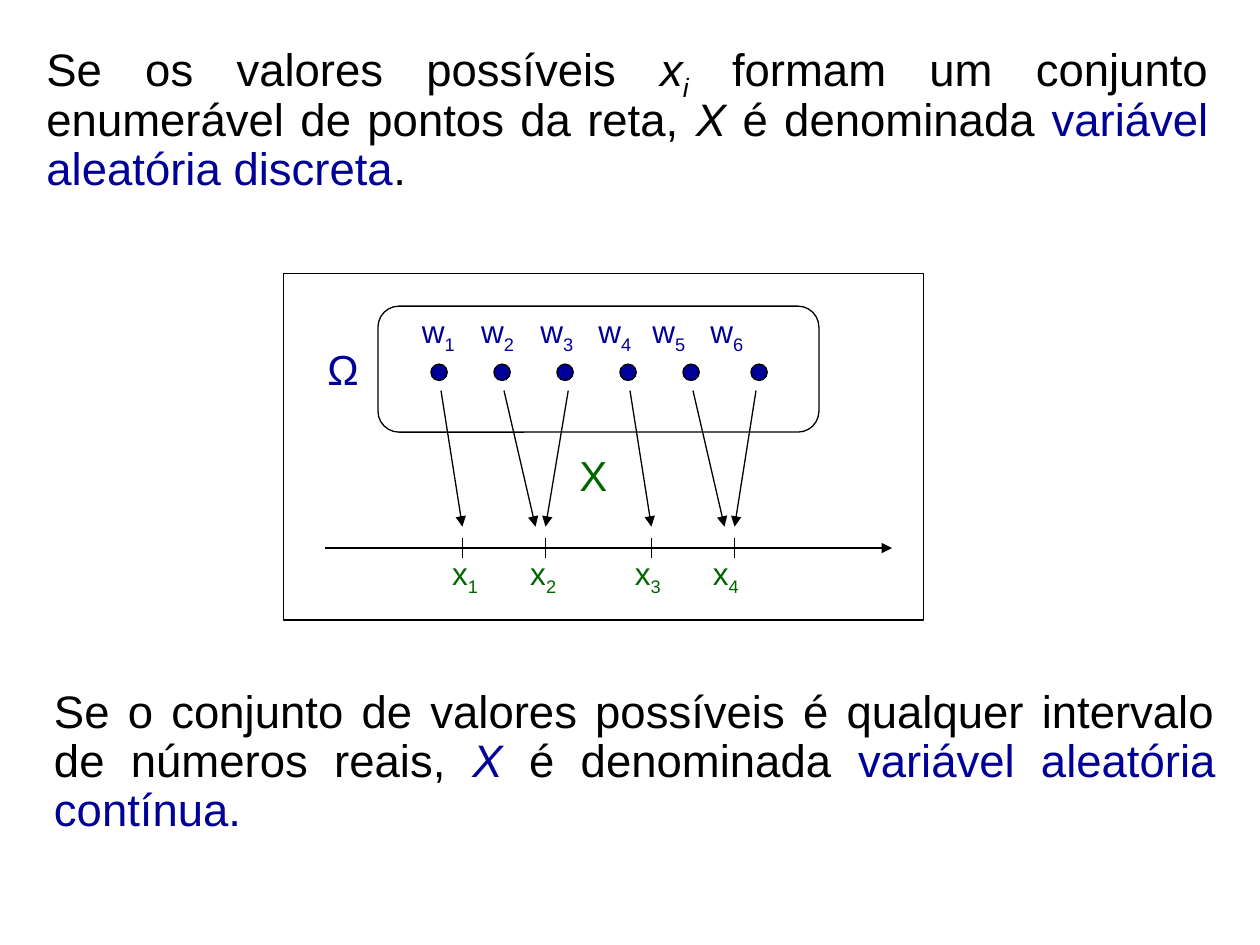
import pptx
import pptx.util
import pptx.dml.color
import pptx.enum.shapes
import pptx.enum.text
import pptx.oxml.ns
import lxml.etree

Inches = pptx.util.Inches
Pt = pptx.util.Pt
qn = pptx.oxml.ns.qn
Shape = pptx.enum.shapes.MSO_SHAPE
BLACK, BLUE, GREEN = "000000", "000099", "006600"

DISCRETE = [
    ("Se os valores possíveis ", BLACK, ""),
    ("x", BLACK, "i"),
    ("i", BLACK, "is"),
    (" formam um conjunto enumerável de pontos da reta, ", BLACK, ""),
    ("X", BLACK, "i"),
    (" é denominada ", BLACK, ""),
    ("variável aleatória discreta", BLUE, ""),
    (".", BLACK, ""),
]
CONTINUOUS = [
    ("Se o conjunto de valores possíveis é qualquer intervalo de números reais, ", BLACK, ""),
    ("X", BLUE, "i"),
    (" é denominada ", BLACK, ""),
    ("variável aleatória contínua.", BLUE, ""),
]
BODIES = [((0.27, 0.28, 9.42, 1.83), DISCRETE), ((0.33, 5.42, 9.42, 1.42), CONTINUOUS)]
SYMBOLS = [((2.5, 2.68, 0.46, 0.5), "Ω", BLUE), ((4.5, 3.52, 0.42, 0.5), "X", GREEN)]
ROWS = [
    ((3.25, 2.43, 3.25, 0.4), "w", BLUE, [0.47, 0.94, 1.4, 1.83, 2.29]),
    ((3.49, 4.35, 3.1, 0.4), "x", GREEN, [0.62, 1.45, 2.07]),
]
DOTS = [3.42, 3.92, 4.42, 4.92, 5.42, 5.96]
TICKS = [3.67, 4.33, 5.17, 5.83]
MAPS = [(3.5, 3.67), (4, 4.25), (4.51, 4.33), (5, 5.17), (5.5, 5.75), (6, 5.83)]
AXIS = 4.35


def paint(part, color):
    part.solid()
    part.fore_color.rgb = pptx.dml.color.RGBColor.from_string(color)


def edge(line):
    paint(line.fill, BLACK)
    line.width = Pt(0.75)


def write(shapes, box, runs, size):
    frame = shapes.add_textbox(*map(Inches, box)).text_frame
    frame.word_wrap = True
    para = frame.paragraphs[0]
    for text, color, style in runs:
        run = para.add_run()
        run.text = text
        run.font.name = "Arial"
        run.font.size = Pt(size)
        run.font.italic = "i" in style
        paint(run.font.fill, color)
        if "s" in style:
            run.font._element.set("baseline", "-25000")
    return para


def draw(shapes, kind, box, fill=None):
    shape = shapes.add_shape(kind, *map(Inches, box))
    shape.shadow.inherit = False
    edge(shape.line)
    if fill:
        paint(shape.fill, fill)
    else:
        shape.fill.background()


def link(shapes, start, end, arrow=False):
    kind = pptx.enum.shapes.MSO_CONNECTOR.STRAIGHT
    line = shapes.add_connector(kind, *map(Inches, start + end))
    edge(line.line)
    if arrow:
        tail = lxml.etree.SubElement(line.line._get_or_add_ln(), qn("a:tailEnd"))
        tail.set("type", "triangle")
    lxml.etree.SubElement(line._element.spPr, qn("a:effectLst"))


def label(shapes, box, name, color, stops):
    runs = []
    for num in range(1, len(stops) + 2):
        gap = "\t" if num > 1 else ""
        runs += [(gap + name, color, ""), (str(num), color, "s")]
    para = write(shapes, box, runs, 18)
    tabs = lxml.etree.SubElement(para._p.get_or_add_pPr(), qn("a:tabLst"))
    for stop in stops:
        lxml.etree.SubElement(tabs, qn("a:tab"), pos=str(Inches(stop)), algn="l")


def main():
    deck = pptx.Presentation()
    deck.slide_width, deck.slide_height = Inches(10), Inches(7.5)
    slide = deck.slides.add_slide(deck.slide_layouts[6])
    for box, runs in BODIES:
        para = write(slide.shapes, box, runs, 26)
        para.alignment = pptx.enum.text.PP_ALIGN.JUSTIFY
        para.line_spacing = 0.9

    shapes = slide.shapes.add_group_shape().shapes
    draw(shapes, Shape.RECTANGLE, (2.25, 2.17, 5.08, 2.75), "FFFFFF")
    draw(shapes, Shape.ROUNDED_RECTANGLE, (3, 2.43, 3.5, 1))
    for left in DOTS:
        draw(shapes, Shape.FLOWCHART_CONNECTOR, (left, 2.89, 0.13, 0.13), BLUE)
    link(shapes, (2.58, AXIS), (7.08, AXIS), True)
    for tick in TICKS:
        link(shapes, (tick, AXIS - 0.08), (tick, AXIS + 0.08))
    for start, end in MAPS:
        link(shapes, (start, 3.1), (end, 4.18), True)
    for row in ROWS:
        label(shapes, *row)
    for box, text, color in SYMBOLS:
        write(shapes, box, [(text, color, "")], 24)
    deck.save("out.pptx")


if __name__ == "__main__":
    main()
